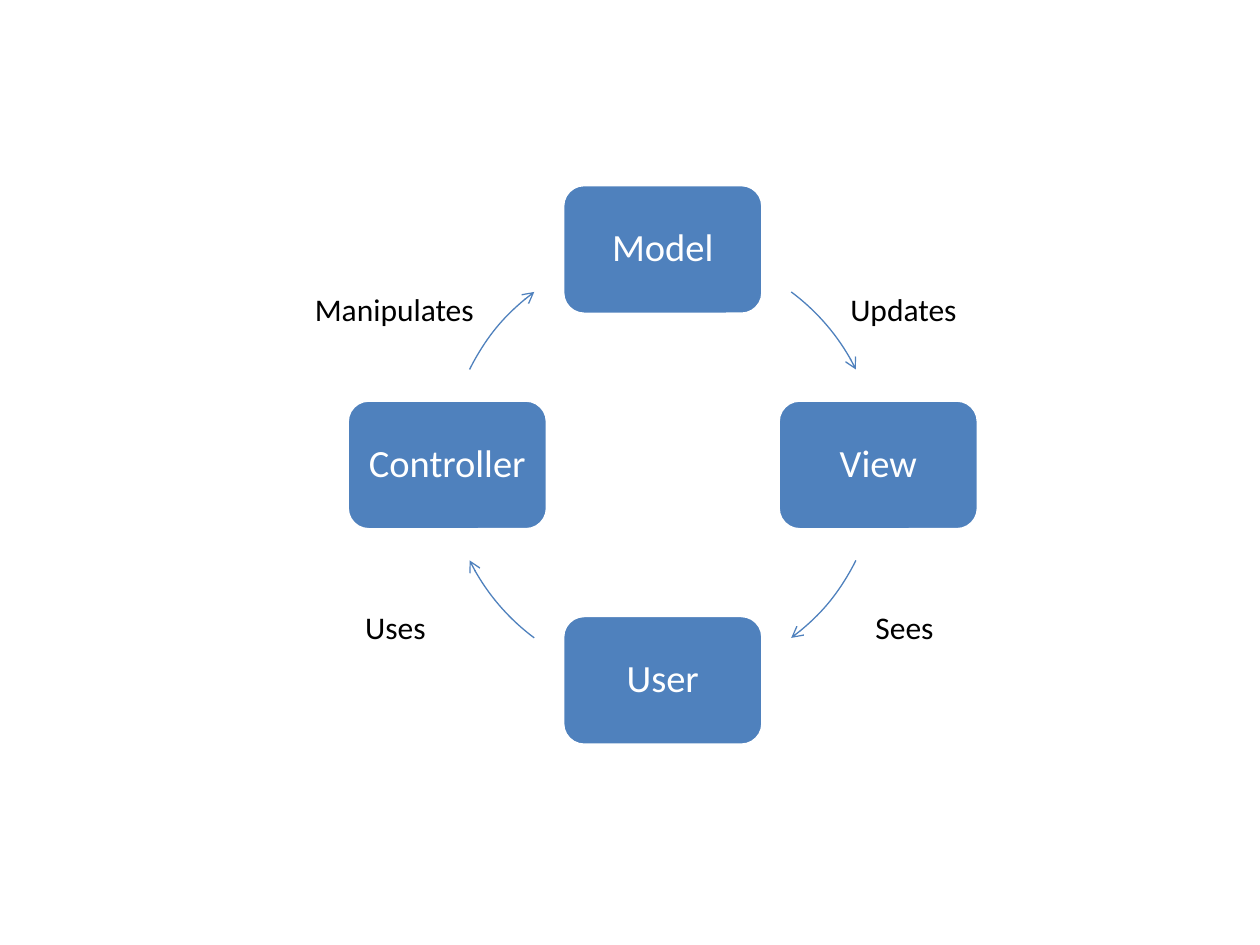
import pptx
import pptx.dml.color
import pptx.enum.shapes
import pptx.enum.text
import pptx.oxml
import pptx.oxml.ns
import pptx.util
from pptx.util import Inches

FONT = "Calibri"
BLUE, WHITE, BLACK = "4F81BD", "FFFFFF", "000000"
CENTER_X, CENTER_Y, RADIUS = 5.26, 3.69, 1.71
BOX_WIDTH, BOX_HEIGHT = 1.59, 1.03

# Clockwise from the top: name, direction from the centre, start and end angle of the next arrow
STEPS = [
    ("Model", 0, -1, 306.6, 333.7),
    ("View", 1, 0, 26.3, 53.4),
    ("User", 0, 1, 126.6, 153.7),
    ("Controller", -1, 0, 206.3, 233.4),
]
LABELS = [
    ("Updates", 6.65, 2.25, 1.05),
    ("Manipulates", 2.4, 2.25, 1.48),
    ("Sees", 6.85, 4.78, 0.67),
    ("Uses", 2.8, 4.78, 0.69),
]


def color(hex_string):
    return pptx.dml.color.RGBColor.from_string(hex_string)


def add_span(para, text, size, hex_string):
    span = para.add_run()
    span.text = text
    span.font.name = FONT
    span.font.size = pptx.util.Pt(size)
    span.font.color.rgb = color(hex_string)


def add_box(slide, text, across, down):
    left = CENTER_X + across * RADIUS - BOX_WIDTH / 2
    top = CENTER_Y + down * RADIUS - BOX_HEIGHT / 2
    box = slide.shapes.add_shape(
        pptx.enum.shapes.MSO_SHAPE.ROUNDED_RECTANGLE,
        Inches(left), Inches(top), Inches(BOX_WIDTH), Inches(BOX_HEIGHT))
    box.shadow.inherit = False
    box.fill.solid()
    box.fill.fore_color.rgb = color(BLUE)
    box.line.color.rgb = color(WHITE)
    box.line.width = pptx.util.Pt(2)
    frame = box.text_frame
    frame.word_wrap = True
    frame.vertical_anchor = pptx.enum.text.MSO_ANCHOR.MIDDLE
    para = frame.paragraphs[0]
    para.alignment = pptx.enum.text.PP_ALIGN.CENTER
    para.line_spacing = 0.9
    add_span(para, text, 22, WHITE)


def add_arc_arrow(slide, start, end):
    """Draw a clockwise arrow on the circle; angles are in degrees from the right."""
    arc = slide.shapes.add_shape(
        pptx.enum.shapes.MSO_SHAPE.ARC,
        Inches(CENTER_X - RADIUS), Inches(CENTER_Y - RADIUS),
        Inches(2 * RADIUS), Inches(2 * RADIUS))
    # Angles are stored in 1/60000 degree, and adjustments are scaled by 100000
    for index, angle in enumerate((start, end)):
        arc.adjustments[index] = angle * 0.6
    arc.shadow.inherit = False
    arc.fill.background()
    arc.line.color.rgb = color(BLUE)
    arc.line.width = pptx.util.Pt(0.75)
    head = pptx.oxml.parse_xml(
        f'<a:tailEnd {pptx.oxml.ns.nsdecls("a")} type="arrow"/>')
    arc.line._get_or_add_ln().append(head)


def add_label(slide, text, left, top, width):
    label = slide.shapes.add_textbox(
        Inches(left), Inches(top), Inches(width), Inches(0.4))
    frame = label.text_frame
    frame.word_wrap = False
    frame.auto_size = pptx.enum.text.MSO_AUTO_SIZE.SHAPE_TO_FIT_TEXT
    add_span(frame.paragraphs[0], text, 18, BLACK)


def main():
    deck = pptx.Presentation()
    deck.slide_width, deck.slide_height = Inches(10), Inches(7.5)
    slide = deck.slides.add_slide(deck.slide_layouts.get_by_name("Blank"))
    for text, across, down, start, end in STEPS:
        add_box(slide, text, across, down)
        add_arc_arrow(slide, start, end)
    for label in LABELS:
        add_label(slide, *label)
    deck.save("out.pptx")


if __name__ == "__main__":
    main()
